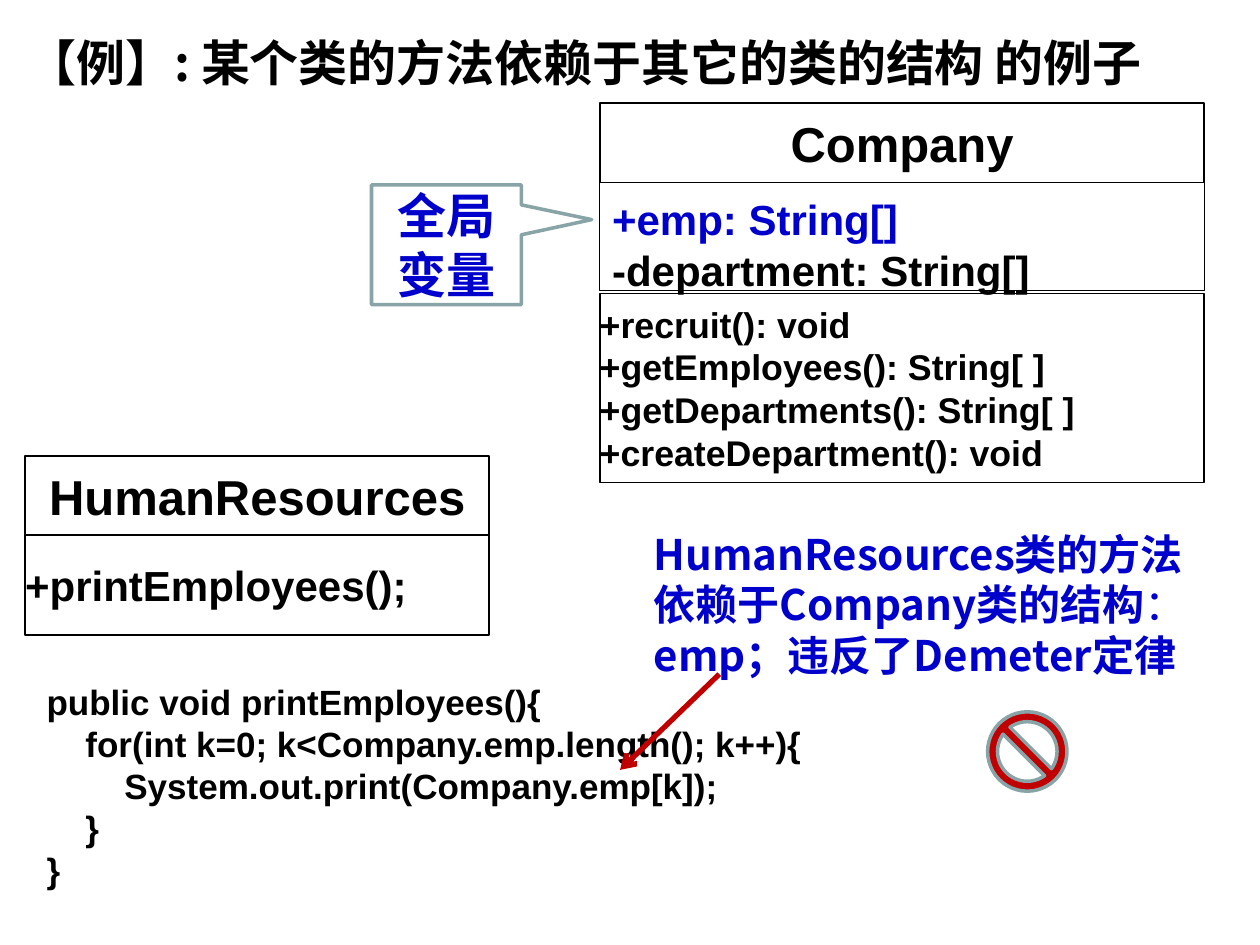
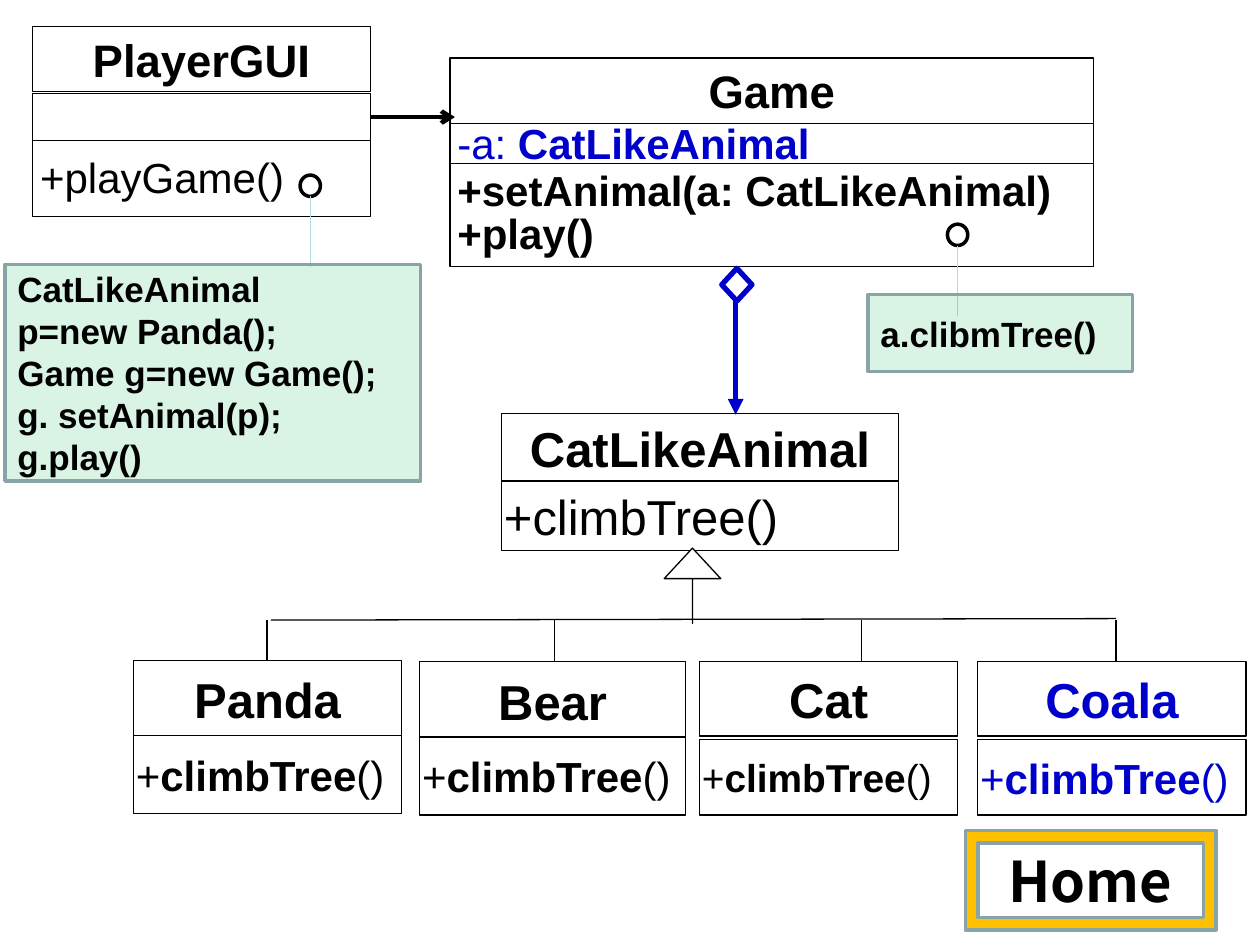
from dataclasses import dataclass

from lxml.etree import SubElement
from pptx import Presentation
from pptx.dml.color import RGBColor
from pptx.enum.shapes import MSO_CONNECTOR, MSO_SHAPE
from pptx.enum.text import MSO_ANCHOR, PP_ALIGN
from pptx.oxml.ns import qn
from pptx.util import Cm, Pt

COLORS = {
    "ink": "000000", "paper": "FFFFFF", "blue": "0000CC", "red": "C00000",
    "border": "89A4A7", "note": "00B050", "thread": "B6DCDF", "gold": "FFC000",
}
LATIN, CHINESE = "Arial", "Noto Sans CJK SC"
BOX_INSETS = (0.25, 0.13, 0.25, 0.13)
FLUSH_INSETS = (0, 0.08, 0, 0.08)
CELL_INSETS = (0.15, 0.08, 0.15, 0.08)
METHOD_INSETS = (0.05, 0.08, 0.15, 0.08)


@dataclass
class Style:
    size: float
    bold: bool = True
    color: str = "ink"
    font: str = LATIN
    align: PP_ALIGN = PP_ALIGN.LEFT
    insets: tuple = BOX_INSETS
    anchor: MSO_ANCHOR = MSO_ANCHOR.MIDDLE
    spacing: float = None


@dataclass
class Compartment:
    offset: float
    height: float
    lines: list
    style: Style
    border: float = 0.75


def rgb(name):
    return RGBColor.from_string(COLORS[name])


def add_runs(paragraph, runs, style):
    """Each run is a string or a (text, changes) pair."""
    for run_data in runs:
        text, changes = (run_data, {}) if isinstance(run_data, str) else run_data
        run = paragraph.add_run()
        run.text = text
        run.font.size = Pt(style.size)
        run.font.bold = changes.get("bold", style.bold)
        run.font.color.rgb = rgb(changes.get("color", style.color))
        run.font.name = style.font
        SubElement(run.font._element, qn("a:ea")).set("typeface", style.font)


def write_text(shape, lines, style, wrap=True):
    frame = shape.text_frame
    frame.word_wrap = wrap
    frame.vertical_anchor = style.anchor
    (frame.margin_left, frame.margin_top,
     frame.margin_right, frame.margin_bottom) = map(Cm, style.insets)
    for index, runs in enumerate(lines):
        paragraph = frame.add_paragraph() if index else frame.paragraphs[0]
        paragraph.alignment = style.align
        if style.spacing:
            paragraph.line_spacing = style.spacing
        add_runs(paragraph, runs, style)


def add_box(slide, kind, box, fill="paper", line="ink", width=0.75, adjustments=()):
    shape = slide.shapes.add_shape(kind, *map(Cm, box))
    shape.shadow.inherit = False
    shape.fill.solid()
    shape.fill.fore_color.rgb = rgb(fill)
    shape.line.color.rgb = rgb(line)
    shape.line.width = Pt(width)
    for index, value in enumerate(adjustments):
        shape.adjustments[index] = value
    return shape


def add_text(slide, box, lines, style, wrap=True):
    write_text(slide.shapes.add_textbox(*map(Cm, box)), lines, style, wrap)


def add_line(slide, start, end, color="ink", width=0.75, head=None):
    line = slide.shapes.add_connector(MSO_CONNECTOR.STRAIGHT, *map(Cm, start + end))
    line.line.color.rgb = rgb(color)
    line.line.width = Pt(width)
    if head:
        SubElement(line.line._get_or_add_ln(), qn("a:tailEnd")).set("type", head)
    SubElement(line._element.spPr, qn("a:effectLst"))


def add_class(slide, left, top, width, compartments):
    """Stack the compartments of a UML class below its top edge."""
    for part in compartments:
        shape = add_box(slide, MSO_SHAPE.RECTANGLE,
                        (left, top + part.offset, width, part.height), width=part.border)
        write_text(shape, part.lines, part.style)


def add_note(slide, box, lines):
    shape = add_box(slide, MSO_SHAPE.RECTANGLE, box, "note", "border", 2)
    color = shape.fill._xPr.find(qn("a:solidFill"))[0]
    SubElement(color, qn("a:alpha")).set("val", "15000")
    write_text(shape, lines, Style(20))


def add_note_anchor(slide, left, top):
    """Small ring with the thread that leads down to a note."""
    width, height, thread = 0.41, 0.43, 1.42
    add_box(slide, MSO_SHAPE.OVAL, (left, top, width, height), width=2)
    x, y = left + width / 2, top + height
    add_line(slide, (x, y), (x, y + thread), "thread")


def name_style(size, insets=CELL_INSETS, color="ink"):
    return Style(size, color=color, align=PP_ALIGN.CENTER, insets=insets)


def member_style(size, insets=CELL_INSETS, **changes):
    return Style(size, align=PP_ALIGN.JUSTIFY, insets=insets, **changes)


def add_subclass(slide, left, top, width, name, heights, offset, size=24, color="ink"):
    plain = {"bold": False}
    add_class(slide, left, top, width, [
        Compartment(0, heights[0], [[name]], name_style(28, color=color)),
        Compartment(offset, heights[1], [[("+", plain), "climbTree", ("()", plain)]],
                    member_style(size, METHOD_INSETS, color=color)),
    ])


def build_dependency_slide(slide):
    # Classes
    add_class(slide, 0.51, 9.19, 9.35, [
        Compartment(0, 1.6, [["HumanResources"]], name_style(28, FLUSH_INSETS), 1),
        Compartment(1.6, 2.01, [["+printEmployees();"]], Style(24, insets=FLUSH_INSETS), 1),
    ])
    methods = ["+recruit(): void", "+getEmployees(): String[ ]",
               "+getDepartments(): String[ ]", "+createDepartment(): void"]
    add_class(slide, 12.09, 2.08, 12.19, [
        Compartment(0, 1.6, [["Company"]], name_style(28, FLUSH_INSETS), 1),
        Compartment(3.84, 3.81, [[method] for method in methods],
                    Style(20.4, insets=FLUSH_INSETS), 1),
        Compartment(1.6, 2.18,
                    [[("+emp: String[]", {"color": "blue"})], ["-department: String[]"]],
                    member_style(24, (0.25, 0.23, 0.25, 0.03), anchor=MSO_ANCHOR.TOP)),
    ])

    # Code
    code = ["public void printEmployees(){",
            "    for(int k=0; k<Company.emp.length(); k++){",
            "        System.out.print(Company.emp[k]);",
            "    }",
            "}"]
    add_text(slide, (0.69, 13.59, 16.81, 4.5), [[line] for line in code],
             Style(20, anchor=MSO_ANCHOR.TOP))

    # Remark and its arrow
    add_text(slide, (12.93, 10.52, 11.76, 3.3),
             [["HumanResources类的方法"],
              ["依赖于Company类的结构", ("：", {"bold": False})],
              ["emp；违反了Demeter定律"]],
             Style(24, color="blue", font=CHINESE, anchor=MSO_ANCHOR.TOP), wrap=False)
    add_line(slide, (14.5, 13.59), (12.5, 15.52), "red", 3, "arrow")

    # Title
    add_text(slide, (0.3, 0.53, 24, 1.45),
             [["【例】: 某个类的方法依赖于其它的类的结构 的例子"]],
             Style(28, font=CHINESE, anchor=MSO_ANCHOR.TOP))

    # Prohibition sign and callout
    add_box(slide, MSO_SHAPE.NO_SYMBOL, (19.91, 14.35, 1.6, 1.6), "red", "border", 2, [0.125])
    callout = add_box(slide, MSO_SHAPE.RECTANGULAR_CALLOUT, (7.49, 3.73, 3.02, 2.41),
                      "paper", "border", 2, [0.97, -0.21])
    write_text(callout, [["全局"], ["变量"]],
               Style(28, color="blue", font=CHINESE, align=PP_ALIGN.CENTER))


def build_game_slide(slide):
    # Abstract class
    add_class(slide, 10.11, 8.33, 8, [
        Compartment(0, 1.4, [["CatLikeAnimal"]], name_style(28)),
        Compartment(1.37, 1.4, [["+climbTree()"]],
                    member_style(28, METHOD_INSETS, bold=False)),
    ])

    # Inheritance tree
    add_box(slide, MSO_SHAPE.UP_ARROW, (13.39, 11.05, 1.14, 1.52), adjustments=[0, 0.54])
    add_line(slide, (5.46, 12.5), (22.5, 12.47))
    for x in (5.38, 11.18, 17.37, 22.5):
        add_line(slide, (x, 12.5), (x, 14.33))
    add_subclass(slide, 2.69, 13.31, 5.41, "Panda", (1.57, 1.57), 1.52)
    add_subclass(slide, 8.46, 13.34, 5.36, "Bear", (1.57, 1.57), 1.52)
    add_subclass(slide, 14.1, 13.34, 5.21, "Cat", (1.5, 1.52), 1.57, size=22.2)
    add_subclass(slide, 19.71, 13.34, 5.41, "Coala", (1.5, 1.52), 1.57, color="blue")

    # Client classes
    add_class(slide, 9.07, 1.17, 12.98, [
        Compartment(0, 1.32, [["Game"]], name_style(26)),
        Compartment(1.32, 0.97, [[("-a: ", {"bold": False}), "CatLikeAnimal"]],
                    member_style(24, color="blue", spacing=0.8)),
        Compartment(2.13, 2.08, [["+setAnimal(a: CatLikeAnimal)"], ["+play()"]],
                    member_style(24, spacing=0.86)),
    ])
    add_class(slide, 0.66, 0.53, 6.81, [
        Compartment(0, 1.32, [["PlayerGUI"]], name_style(26)),
        Compartment(1.35, 0.99, [], name_style(26)),
        Compartment(2.31, 1.52, [["+playGame()"]],
                    member_style(24, bold=False, spacing=0.96)),
    ])

    # Notes
    add_note_anchor(slide, 6.05, 3.53)
    add_note_anchor(slide, 19.1, 4.52)
    add_note(slide, (17.5, 5.94, 5.33, 1.55), [["a.clibmTree()"]])
    add_note(slide, (0.1, 5.33, 8.38, 4.37),
             [["CatLikeAnimal"], ["p=new Panda();"], ["Game g=new Game();"],
              ["g. setAnimal(p);"], ["g.play()"]])

    # Association and aggregation
    add_line(slide, (7.47, 2.36), (9.17, 2.36), width=2.5, head="arrow")
    add_line(slide, (14.83, 5.99), (14.83, 8.36), "blue", 3, "triangle")
    add_box(slide, MSO_SHAPE.DIAMOND, (14.55, 5.41, 0.61, 0.66), line="blue", width=3)

    # Home button
    home = add_box(slide, MSO_SHAPE.FRAME, (19.46, 16.74, 5.05, 2.01),
                   "gold", "border", 2, [0.125])
    write_text(home, [["Home"]], Style(32, font=CHINESE, align=PP_ALIGN.CENTER))


def main():
    presentation = Presentation()
    presentation.slide_width, presentation.slide_height = Cm(25.4), Cm(19.05)
    for build in (build_dependency_slide, build_game_slide):
        build(presentation.slides.add_slide(presentation.slide_layouts[6]))
    presentation.save("out.pptx")


if __name__ == "__main__":
    main()
